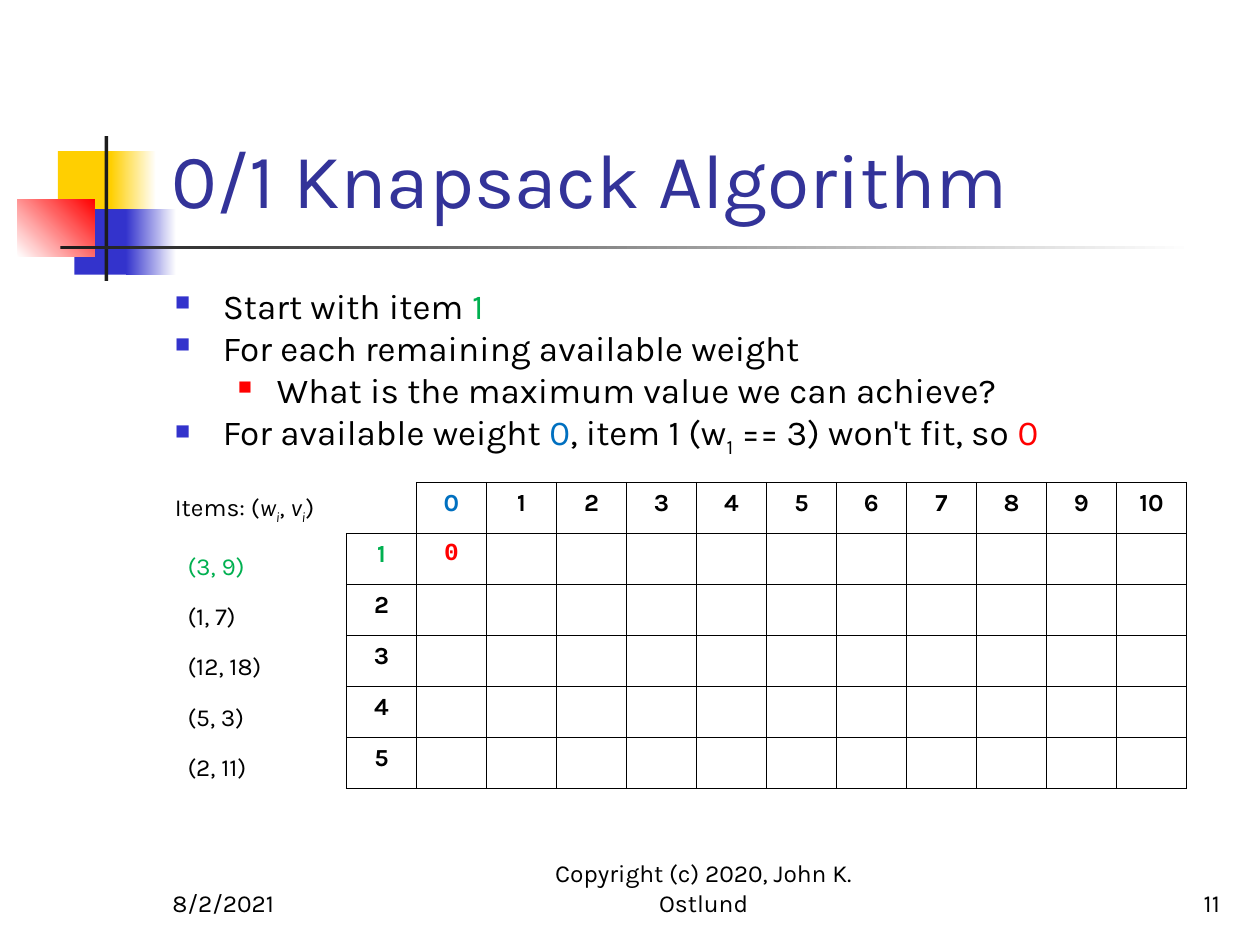
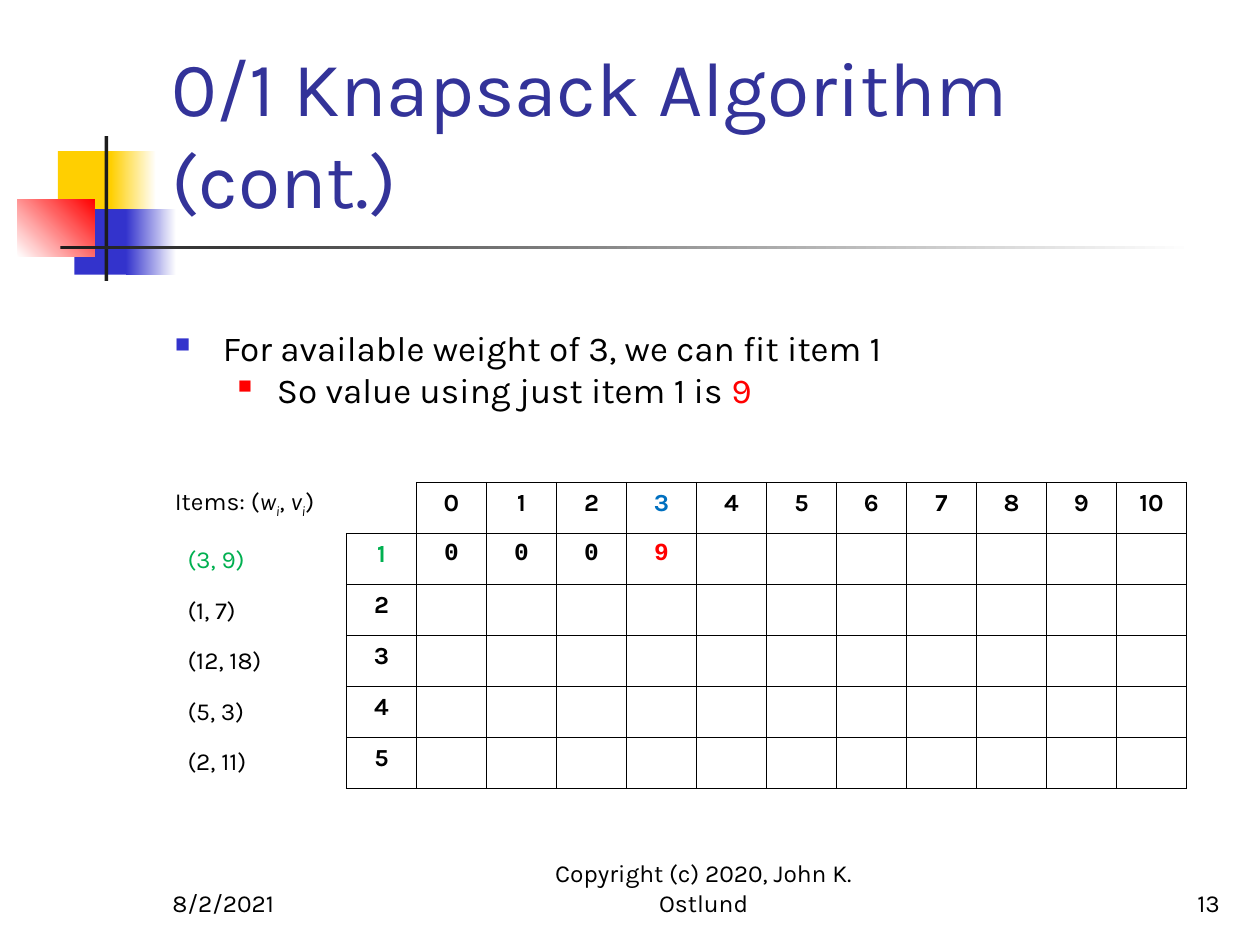
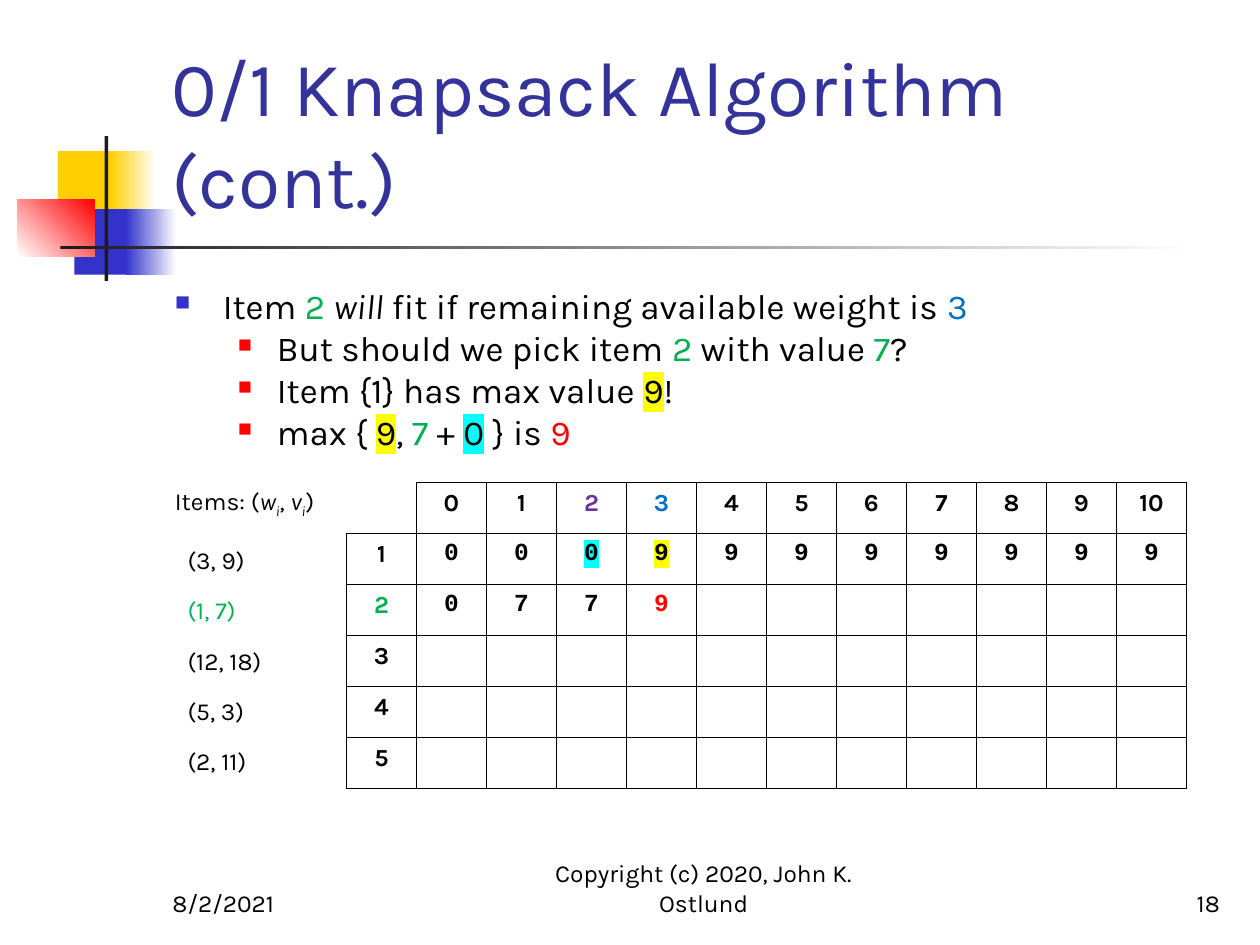
from lxml import etree
from pptx import Presentation
from pptx.dml.color import RGBColor
from pptx.enum.shapes import MSO_SHAPE
from pptx.enum.text import MSO_ANCHOR, PP_ALIGN
from pptx.oxml.ns import qn
from pptx.util import Inches, Pt

HUES = {
    "black": "000000", "white": "FFFFFF", "ink": "1C1C1C", "title": "333399",
    "gold": "FFCF01", "navy": "3333CC", "red": "FF0000", "green": "00B050",
    "blue": "0070C0", "plum": "7030A0", "yellow": "FFFF00", "cyan": "00FFFF",
}
RED, GREEN, BLUE, PLUM = [{"hue": hue} for hue in ("red", "green", "blue", "plum")]
YELLOW, CYAN = {"mark": "yellow"}, {"mark": "cyan"}

BLOCKS = [
    (0.46, 1.2, 0.48, 0.52, "gold", None, 0),
    (0.88, 1.2, 0.36, 0.52, "gold", "white", 0),
    (0.59, 1.66, 0.46, 0.52, "navy", None, 0),
    (1, 1.66, 0.4, 0.52, "navy", "white", 0),
    (0.14, 1.58, 0.61, 0.46, "white", "red", 45),
    (0.83, 1.08, 0.03, 1.15, "ink", None, 0),
    (0.48, 1.95, 9, 0.03, "ink", "white", 0),
]
LEVELS = [(0.38, -0.38, "navy", 60), (0.81, -0.31, "red", 55)]
LABEL = [
    ("Items: (", {}), ("w", {"slant": True}), ("i", {"slant": True, "sub": True}),
    (", ", {}), ("v", {"slant": True}), ("i", {"slant": True, "sub": True}), (")", {}),
]
ITEMS = ["(3, 9)", "(1, 7)", "(12, 18)", "(5, 3)", "(2, 11)"]

SLIDES = [
    {
        "title": "0/1 Knapsack Algorithm", "page": "11", "top": 2.21, "gap": 19.2, "pick": 1,
        "points": [
            (0, [("Start with item ", {}), ("1", GREEN)]),
            (0, [("For each remaining available weight", {})]),
            (1, [("What is the maximum value we can achieve?", {})]),
            (0, [("For available weight ", {}), ("0", BLUE), (", item 1 (w", {}),
                 ("1", {"sub": True}), (" == 3) won't fit, so ", {}), ("0", RED)]),
        ],
        "values": ["0"],
        "looks": {(0, 1): BLUE, (1, 1): RED},
    },
    {
        "title": "0/1 Knapsack Algorithm (cont.)", "page": "13", "top": 2.54, "gap": 43.2, "pick": 1,
        "points": [
            (0, [("For available weight of 3, we can fit item 1", {})]),
            (1, [("So value using just item 1 is ", {}), ("9", RED)]),
        ],
        "values": ["0009"],
        "looks": {(0, 4): BLUE, (1, 4): RED},
    },
    {
        "title": "0/1 Knapsack Algorithm (cont.)", "page": "18", "top": 2.21, "gap": 19.2, "pick": 2,
        "points": [
            (0, [("Item ", {}), ("2 ", GREEN), ("will", {"slant": True}),
                 (" fit if remaining available weight is ", {}), ("3", BLUE)]),
            (1, [("But should we pick item ", {}), ("2", GREEN), (" with value ", {}),
                 ("7", GREEN), ("?", {})]),
            (1, [("Item {1} has max value ", {}), ("9", YELLOW), ("!", {})]),
            (1, [("max { ", {}), ("9", YELLOW), (", ", {}), ("7", GREEN), (" + ", {}),
                 ("0", CYAN), (" } is ", {}), ("9", RED)]),
        ],
        "values": ["00099999999", "0779"],
        "looks": {(0, 3): PLUM, (0, 4): BLUE, (1, 3): CYAN, (1, 4): YELLOW, (2, 4): RED},
    },
]


def write(para, text, size=14, hue="black", face="Karla", bold=False, slant=False, sub=False, mark=None):
    run = para.add_run()
    run.text = text
    font = run.font
    font.size = Pt(size)
    font.bold = bold
    font.italic = slant
    font.color.rgb = RGBColor.from_string(HUES[hue])
    props = run._r.get_or_add_rPr()
    if sub:
        props.set("baseline", "-25000")
    if mark:
        light = etree.SubElement(props, qn("a:highlight"))
        etree.SubElement(light, qn("a:srgbClr"), val=HUES[mark])
    font.name = face


def box(slide, left, top, width, height, anchor=MSO_ANCHOR.BOTTOM):
    frame = slide.shapes.add_textbox(Inches(left), Inches(top), Inches(width), Inches(height)).text_frame
    frame.word_wrap = True
    frame.vertical_anchor = anchor
    return frame


deck = Presentation()
deck.slide_width = Inches(10)
deck.slide_height = Inches(7.5)

for data in SLIDES:
    slide = deck.slides.add_slide(deck.slide_layouts[6])

    for left, top, width, height, start, end, angle in BLOCKS:
        block = slide.shapes.add_shape(
            MSO_SHAPE.RECTANGLE, Inches(left), Inches(top), Inches(width), Inches(height))
        block.shadow.inherit = False
        block.line.fill.background()
        if end:
            block.fill.gradient()
            block.fill.gradient_angle = angle
            for stop, hue in zip(block.fill.gradient_stops, (start, end)):
                stop.color.rgb = RGBColor.from_string(HUES[hue])
        else:
            block.fill.solid()
            block.fill.fore_color.rgb = RGBColor.from_string(HUES[start])

    frame = box(slide, 1.26, 0.23, 8.52, 1.6)
    write(frame.paragraphs[0], data["title"], 44, "title")

    frame = box(slide, 1.29, data["top"], 8.5, 6.71 - data["top"], MSO_ANCHOR.TOP)
    for num, (level, runs) in enumerate(data["points"]):
        para = frame.add_paragraph() if num else frame.paragraphs[0]
        para.level = level
        margin, indent, hue, scale = LEVELS[level]
        props = para._p.get_or_add_pPr()
        props.set("marL", str(Inches(margin)))
        props.set("indent", str(Inches(indent)))
        tint = etree.SubElement(props, qn("a:buClr"))
        etree.SubElement(tint, qn("a:srgbClr"), val=HUES[hue])
        etree.SubElement(props, qn("a:buSzPct"), val=str(scale * 1000))
        etree.SubElement(props, qn("a:buChar"), char="■")
        for text, look in runs:
            write(para, text, 20, **look)

    para = frame.add_paragraph()
    para.space_before = Pt(data["gap"])
    for text, look in LABEL:
        write(para, text, **look)
    for num, item in enumerate(ITEMS, 1):
        para = frame.add_paragraph()
        para.space_before = Pt(14.4 if num == 1 else 12)
        para._p.get_or_add_pPr().set("marL", str(Inches(0.1)))
        write(para, item, hue="green" if num == data["pick"] else "black")

    for left, width, align, text in [
        (1.27, 2.08, PP_ALIGN.LEFT, "8/2/2021"),
        (4, 3.17, PP_ALIGN.CENTER, "Copyright (c) 2020, John K. Ostlund"),
        (7.7, 2.08, PP_ALIGN.RIGHT, data["page"]),
    ]:
        para = box(slide, left, 6.83, width, 0.5).paragraphs[0]
        para.alignment = align
        write(para, text)

    table = slide.shapes.add_table(6, 12, Inches(2.75), Inches(3.83), Inches(6.67), Inches(2.43)).table
    table.first_row = False
    table.horz_banding = False
    looks = {(data["pick"], 0): GREEN, **data["looks"]}
    for row in range(6):
        for col in range(12):
            cell = table.cell(row, col)
            props = cell._tc.get_or_add_tcPr()
            for side in "RB" if row == col == 0 else "LRTB":
                edge = etree.SubElement(props, qn("a:ln" + side), w=str(Pt(1)))
                fill = etree.SubElement(edge, qn("a:solidFill"))
                etree.SubElement(fill, qn("a:srgbClr"), val=HUES["black"])
            cell.fill.background()
            text, face = "", "Karla"
            if row == 0 and col:
                text = str(col - 1)
            elif row and col == 0:
                text = str(row)
            elif 0 < row <= len(data["values"]) and col <= len(data["values"][row - 1]):
                text, face = data["values"][row - 1][col - 1], "Courier New"
            if text:
                para = cell.text_frame.paragraphs[0]
                para.alignment = PP_ALIGN.CENTER
                write(para, text, face=face, bold=True, **looks.get((row, col), {}))

deck.save("out.pptx")
